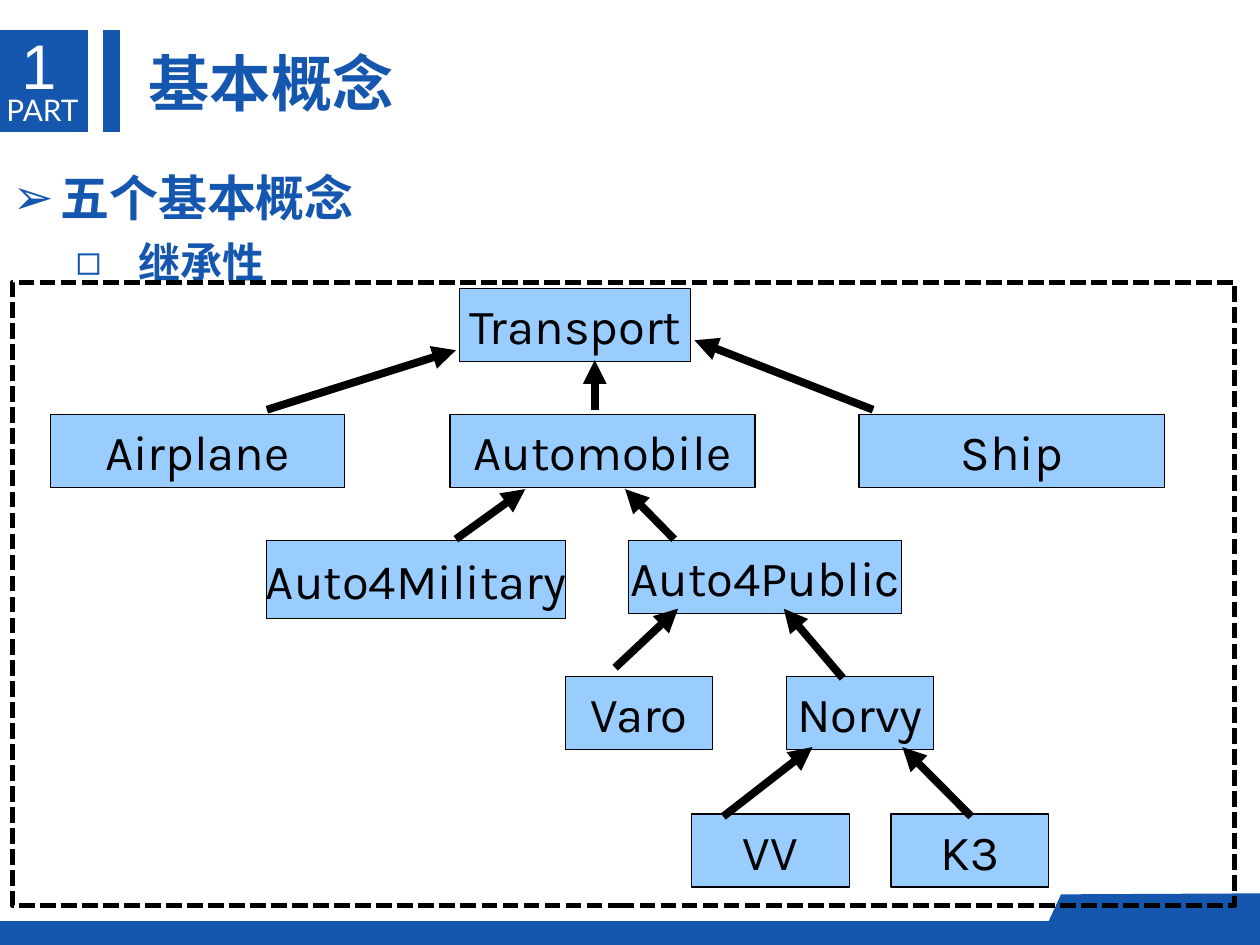
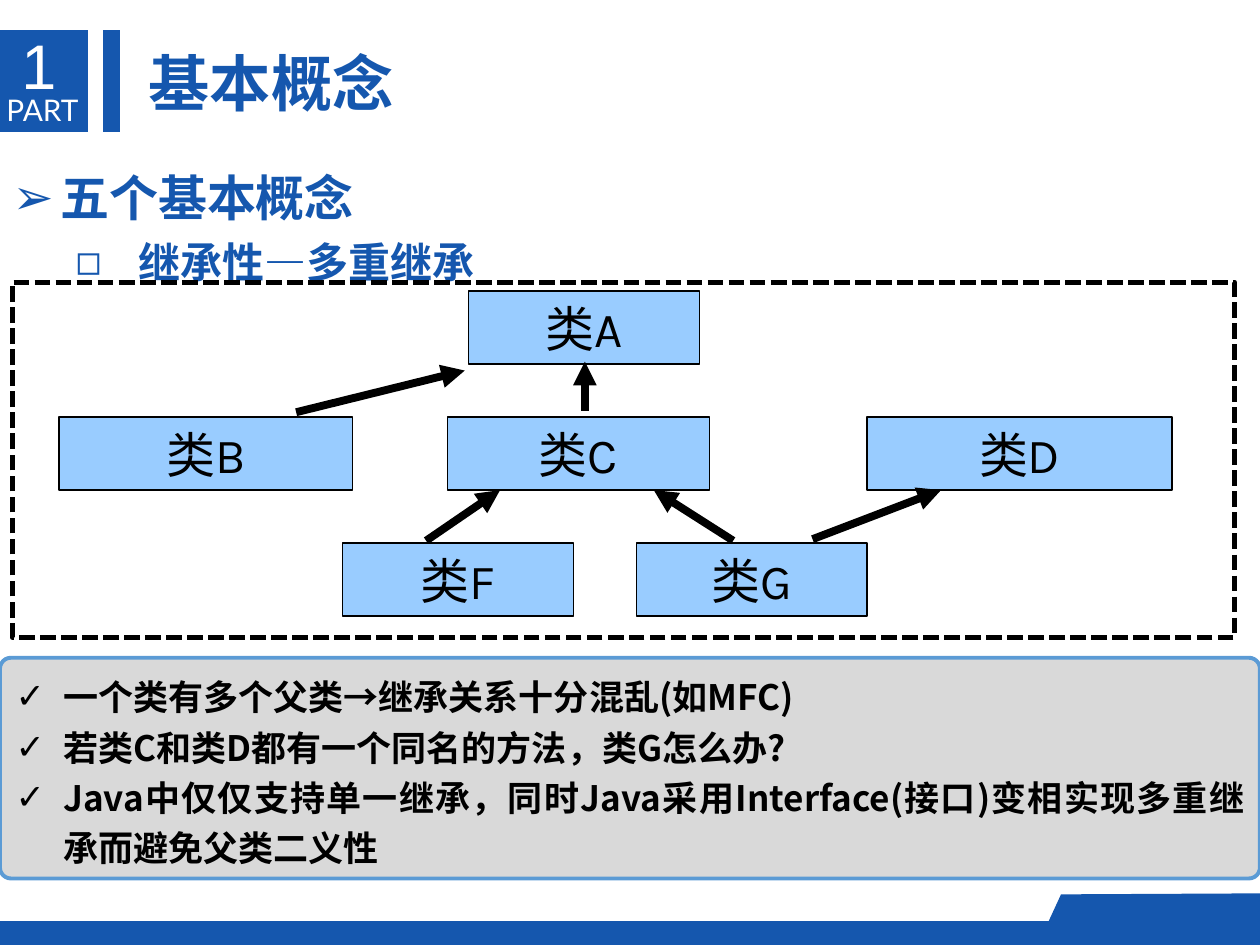
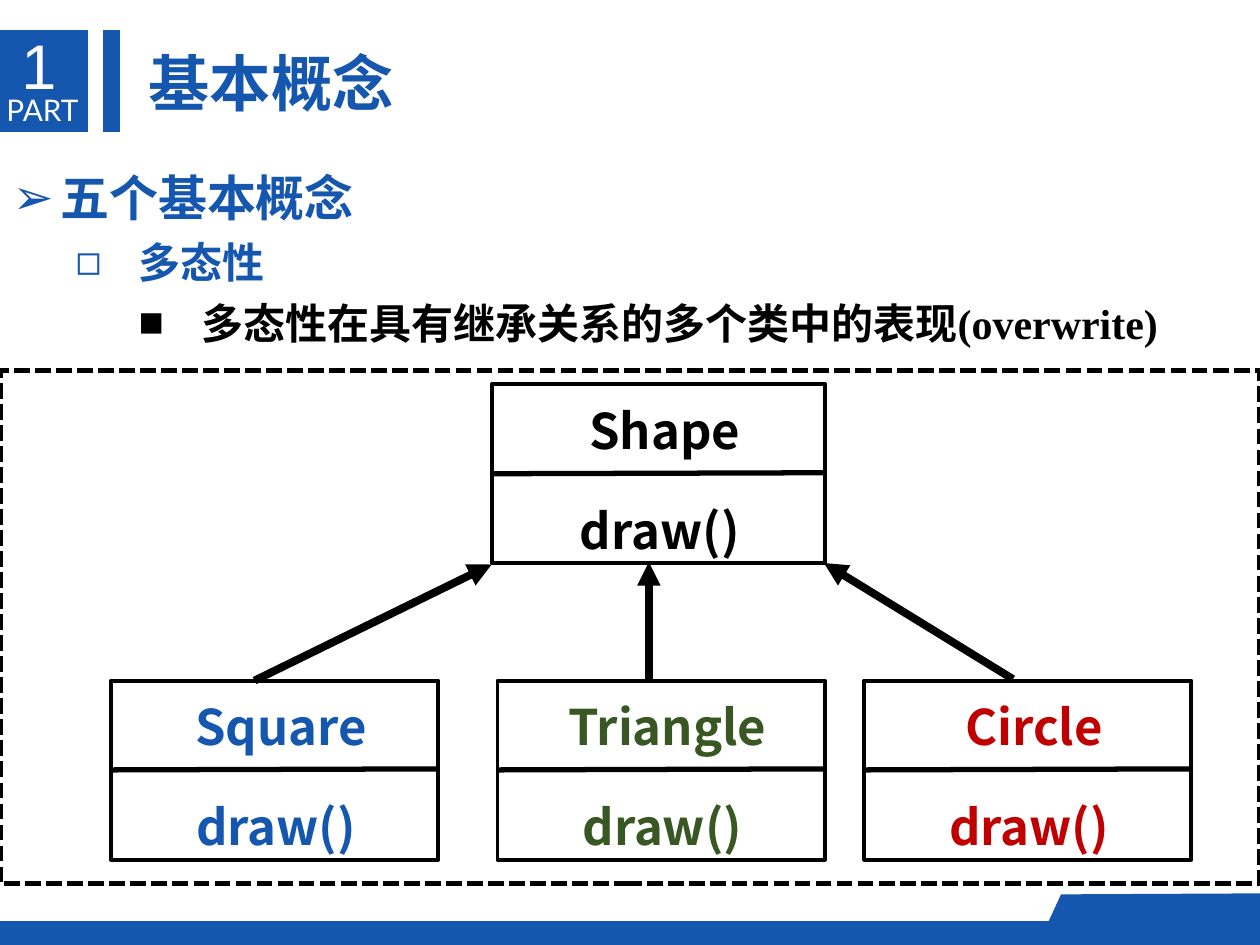
from dataclasses import dataclass

from lxml.etree import SubElement
from pptx import Presentation
from pptx.dml.color import RGBColor
from pptx.enum.dml import MSO_LINE
from pptx.enum.shapes import MSO_CONNECTOR, MSO_SHAPE
from pptx.enum.text import MSO_ANCHOR, MSO_AUTO_SIZE, PP_ALIGN
from pptx.oxml.ns import qn
from pptx.util import Cm, Pt

COLORS = {
    "brand": "1557AE",
    "white": "FFFFFF",
    "black": "000000",
    "node": "99CCFF",
    "note": "D9D9D9",
    "note_line": "5B9BD5",
    "green": "385723",
    "red": "C00000",
}
SANS = "Noto Sans CJK SC"
SERIF = "Times New Roman"
NODE_FONT = "Karla"
SLIDE_WIDTH, SLIDE_HEIGHT = 25.4, 19.05
NODE_HEIGHT = 1.47
CLASS_HEIGHT = 3.61


@dataclass(frozen=True)
class TextStyle:
    size: float
    font: str = SANS
    color: str = "black"
    bold: bool = False


@dataclass(frozen=True)
class Bullet:
    symbol: str
    margin: float
    hanging: float


@dataclass(frozen=True)
class Box:
    left: float
    top: float
    width: float
    height: float


@dataclass(frozen=True)
class Node:
    text: str
    left: float
    top: float
    width: float
    height: float = NODE_HEIGHT


@dataclass(frozen=True)
class Arrow:
    start_x: float
    start_y: float
    end_x: float
    end_y: float


@dataclass(frozen=True)
class ClassBox:
    name: str
    left: float
    top: float
    width: float
    color: str


TITLE_STYLE = TextStyle(35, color="brand", bold=True)
NODE_STYLE = TextStyle(28, NODE_FONT)
NOTE_STYLE = TextStyle(20, bold=True)
OUTLINE = [
    (1, Bullet("➢", 0.96, 0.96), TextStyle(28, color="brand", bold=True)),
    (1, Bullet("◻", 2.54, 1.27), TextStyle(24, SERIF, "brand", True)),
    (2, Bullet("■", 3.81, 1.27), TextStyle(24, SERIF, "black", True)),
]
NOTE_BULLET = Bullet("✓", 0.96, 0.96)

TRANSPORT_NODES = [
    Node("Transport", 9.27, 5.82, 4.65),
    Node("Airplane", 1.02, 8.36, 5.92),
    Node("Automobile", 9.07, 8.36, 6.15),
    Node("Ship", 17.32, 8.36, 6.15),
    Node("Auto4Military", 5.38, 10.9, 6.02, 1.57),
    Node("Auto4Public", 12.67, 10.9, 5.51),
    Node("Varo", 11.4, 13.64, 2.97),
    Node("Norvy", 15.85, 13.64, 2.97),
    Node("VV", 13.94, 16.41, 3.18),
    Node("K3", 17.96, 16.41, 3.18),
]
TRANSPORT_ARROWS = [
    Arrow(11.99, 8.26, 11.99, 7.26),
    Arrow(5.38, 8.26, 9.19, 7.06),
    Arrow(17.6, 8.26, 14, 6.86),
    Arrow(9.19, 10.87, 10.59, 9.86),
    Arrow(13.59, 10.87, 12.6, 9.86),
    Arrow(12.4, 13.46, 13.67, 12.27),
    Arrow(16.99, 13.67, 15.8, 12.27),
    Arrow(14.58, 16.46, 16.38, 15.06),
    Arrow(19.58, 16.46, 18.19, 15.06),
]
MULTIPLE_NODES = [
    Node("类A", 9.45, 5.87, 4.65),
    Node("类B", 1.19, 8.41, 5.92),
    Node("类C", 9.02, 8.41, 5.28),
    Node("类D", 17.48, 8.41, 6.15),
    Node("类F", 6.91, 10.95, 4.65),
    Node("类G", 12.83, 10.95, 4.65),
]
MULTIPLE_ARROWS = [
    Arrow(11.79, 8.28, 11.79, 7.29),
    Arrow(5.97, 8.31, 9.37, 7.47),
    Arrow(8.59, 10.9, 10.08, 9.88),
    Arrow(14.78, 10.9, 13.18, 9.88),
    Arrow(16.38, 10.87, 18.97, 9.88),
]
NOTES = [
    "一个类有多个父类→继承关系十分混乱(如MFC)",
    "若类C和类D都有一个同名的方法，类G怎么办?",
    "Java中仅仅支持单一继承，同时Java采用Interface(接口)变相实现多重继承而避免父类二义性",
]
CLASS_BOXES = [
    ClassBox("Shape", 9.91, 7.75, 6.73, "black"),
    ClassBox("Square", 2.24, 13.72, 6.6, "brand"),
    ClassBox("Triangle", 10.03, 13.72, 6.6, "green"),
    ClassBox("Circle", 17.42, 13.72, 6.6, "red"),
]
CLASS_ARROWS = [
    Arrow(5.13, 13.72, 9.91, 11.38),
    Arrow(13.08, 13.69, 13.08, 11.33),
    Arrow(20.42, 13.69, 16.61, 11.35),
]


def color(name: str) -> RGBColor:
    return RGBColor.from_string(COLORS[name])


def add_run(paragraph, text: str, style: TextStyle) -> None:
    run = paragraph.add_run()
    run.text = text
    run.font.size = Pt(style.size)
    run.font.name = style.font
    run.font.bold = style.bold
    run.font.color.rgb = color(style.color)
    SubElement(run.font._element, qn("a:ea")).set("typeface", SANS)


def indent(paragraph, margin: float, hanging: float):
    properties = paragraph._p.get_or_add_pPr()
    properties.set("marL", str(Cm(margin)))
    properties.set("indent", str(-Cm(hanging)))
    return properties


def add_bullet(paragraph, bullet: Bullet) -> None:
    paragraph.line_spacing = 1.2
    paragraph.space_before = Pt(0)
    properties = indent(paragraph, bullet.margin, bullet.hanging)
    SubElement(properties, qn("a:buFont")).set("typeface", "Arial")
    SubElement(properties, qn("a:buChar")).set("char", bullet.symbol)


def place(shape, box: Box) -> None:
    shape.left, shape.top = Cm(box.left), Cm(box.top)
    shape.width, shape.height = Cm(box.width), Cm(box.height)


def add_box(slide, box: Box, fill: str = "", line: str = "", line_width: float = 0.75,
            kind: MSO_SHAPE = MSO_SHAPE.RECTANGLE):
    shape = slide.shapes.add_shape(kind, Cm(box.left), Cm(box.top), Cm(box.width), Cm(box.height))
    paint(shape, fill, line, line_width)
    return shape


def paint(shape, fill: str, line: str = "", line_width: float = 0.75) -> None:
    shape.shadow.inherit = False
    if fill:
        shape.fill.solid()
        shape.fill.fore_color.rgb = color(fill)
    else:
        shape.fill.background()
    if line:
        shape.line.color.rgb = color(line)
        shape.line.width = Pt(line_width)
    else:
        shape.line.fill.background()


def add_label(slide, box: Box, text: str, style: TextStyle, side_inset: float = 0.25,
              top_inset: float = 0.13, wrap: bool = False):
    text_box = slide.shapes.add_textbox(Cm(box.left), Cm(box.top), Cm(box.width), Cm(box.height))
    frame = text_box.text_frame
    frame.word_wrap = wrap
    frame.margin_left = frame.margin_right = Cm(side_inset)
    frame.margin_top = frame.margin_bottom = Cm(top_inset)
    paragraph = frame.paragraphs[0]
    add_run(paragraph, text, style)
    return paragraph


def add_line(slide, line: Arrow, width: float, arrowhead: bool) -> None:
    connector = slide.shapes.add_connector(
        MSO_CONNECTOR.STRAIGHT, Cm(line.start_x), Cm(line.start_y), Cm(line.end_x), Cm(line.end_y))
    connector.line.color.rgb = color("black")
    connector.line.width = Pt(width)
    if arrowhead:
        SubElement(connector.line._get_or_add_ln(), qn("a:tailEnd")).set("type", "triangle")
    SubElement(connector.element.spPr, qn("a:effectLst"))


def add_arrows(slide, arrows: list[Arrow]) -> None:
    for arrow in arrows:
        add_line(slide, arrow, 4.5, True)


def add_nodes(slide, nodes: list[Node]) -> None:
    for node in nodes:
        shape = add_box(slide, Box(node.left, node.top, node.width, node.height), "node", "black")
        frame = shape.text_frame
        frame.word_wrap = False
        frame.vertical_anchor = MSO_ANCHOR.MIDDLE
        frame.paragraphs[0].alignment = PP_ALIGN.CENTER
        add_run(frame.paragraphs[0], node.text, NODE_STYLE)


def add_dashed_frame(slide, box: Box) -> None:
    add_box(slide, box, line="black", line_width=3).line.dash_style = MSO_LINE.SQUARE_DOT


def add_notes_panel(slide, box: Box, notes: list[str]) -> None:
    panel = add_box(slide, box, "note", "note_line", 2.25, MSO_SHAPE.ROUNDED_RECTANGLE)
    panel.adjustments[0] = 0.05
    frame = panel.text_frame
    frame.word_wrap = True
    frame.vertical_anchor = MSO_ANCHOR.MIDDLE
    for index, note in enumerate(notes):
        paragraph = frame.add_paragraph() if index else frame.paragraphs[0]
        paragraph.alignment = PP_ALIGN.JUSTIFY
        add_bullet(paragraph, NOTE_BULLET)
        add_run(paragraph, note, NOTE_STYLE)


def add_class_box(slide, item: ClassBox) -> None:
    add_box(slide, Box(item.left, item.top, item.width, CLASS_HEIGHT), line="black", line_width=2.25)
    style = TextStyle(28, color=item.color, bold=True)
    name_area = Box(item.left - 0.41, item.top + 0.2, item.width - 0.2, 1.45)
    method_area = Box(item.left - 0.61, item.top + 2.21, item.width, 1.45)
    for text, area in ((item.name, name_area), ("draw()", method_area)):
        paragraph = add_label(slide, area, text, style, side_inset=0, wrap=True)
        paragraph.alignment = PP_ALIGN.CENTER
        indent(paragraph, 2.74, 1.47)
    divider = Arrow(item.left, item.top + 1.8, item.left + item.width, item.top + 1.78)
    add_line(slide, divider, 3, False)


def move_bands_to_layout(slide, layout) -> None:
    bands = [
        add_box(slide, box, "brand", kind=MSO_SHAPE.FLOWCHART_PROCESS)
        for box in (
            Box(0, 0.6, 1.78, 2.06),
            Box(2.07, 0.6, 0.36, 2.06),
            Box(0, 18.57, SLIDE_WIDTH, 0.48),
        )
    ]
    builder = slide.shapes.build_freeform(Cm(SLIDE_WIDTH), Cm(18.92))
    builder.add_line_segments(
        [(Cm(x), Cm(y)) for x, y in ((SLIDE_WIDTH, 18.01), (21.39, 18.03), (20.98, 18.92))])
    tab = builder.convert_to_shape()
    paint(tab, "brand")
    for band in (*bands, tab):
        layout.shapes.element.append(band.element)


def add_topic_slide(presentation, points: list[str], body_height: float):
    slide = presentation.slides.add_slide(presentation.slide_layouts[1])
    title, body = slide.shapes.title, slide.placeholders[1]
    place(title, Box(2.74, 0.79, 5.51, 1.75))
    place(body, Box(0, 3.02, SLIDE_WIDTH, body_height))
    for placeholder in (title, body):
        placeholder.text_frame.auto_size = MSO_AUTO_SIZE.NONE
        placeholder.text_frame.vertical_anchor = MSO_ANCHOR.TOP
    title.text_frame.word_wrap = False
    heading = title.text_frame.paragraphs[0]
    heading.alignment = PP_ALIGN.LEFT
    add_run(heading, "基本概念", TITLE_STYLE)
    for index, (point, (level, bullet, style)) in enumerate(zip(points, OUTLINE)):
        frame = body.text_frame
        paragraph = frame.add_paragraph() if index else frame.paragraphs[0]
        paragraph.level = level
        add_bullet(paragraph, bullet)
        add_run(paragraph, point, style)
    add_label(slide, Box(0.13, 1.85, 1.52, 0.74), "PART", TextStyle(17, "Lato", "white"), 0, 0)
    add_label(slide, Box(0.18, 0.41, 1.35, 1.8), "1", TextStyle(36, "Arial", "white"))
    return slide


def main() -> None:
    presentation = Presentation()
    presentation.slide_width, presentation.slide_height = Cm(SLIDE_WIDTH), Cm(SLIDE_HEIGHT)
    topic = "五个基本概念"

    inheritance = add_topic_slide(presentation, [topic, "继承性"], 4.04)
    move_bands_to_layout(inheritance, presentation.slide_layouts[1])
    add_nodes(inheritance, TRANSPORT_NODES)
    add_arrows(inheritance, TRANSPORT_ARROWS)
    add_dashed_frame(inheritance, Box(0.25, 5.69, 24.64, 12.57))

    multiple = add_topic_slide(presentation, [topic, "继承性—多重继承"], 4.04)
    add_dashed_frame(multiple, Box(0.25, 5.69, 24.64, 7.16))
    add_nodes(multiple, MULTIPLE_NODES)
    add_arrows(multiple, MULTIPLE_ARROWS)
    add_notes_panel(multiple, Box(0, 13.26, SLIDE_WIDTH, 4.45), NOTES)

    polymorphism = add_topic_slide(
        presentation, [topic, "多态性", "多态性在具有继承关系的多个类中的表现(overwrite)"], 6.5)
    for item in CLASS_BOXES:
        add_class_box(polymorphism, item)
    add_arrows(polymorphism, CLASS_ARROWS)
    add_dashed_frame(polymorphism, Box(0, 7.47, SLIDE_WIDTH, 10.34))

    presentation.save("out.pptx")


if __name__ == "__main__":
    main()
